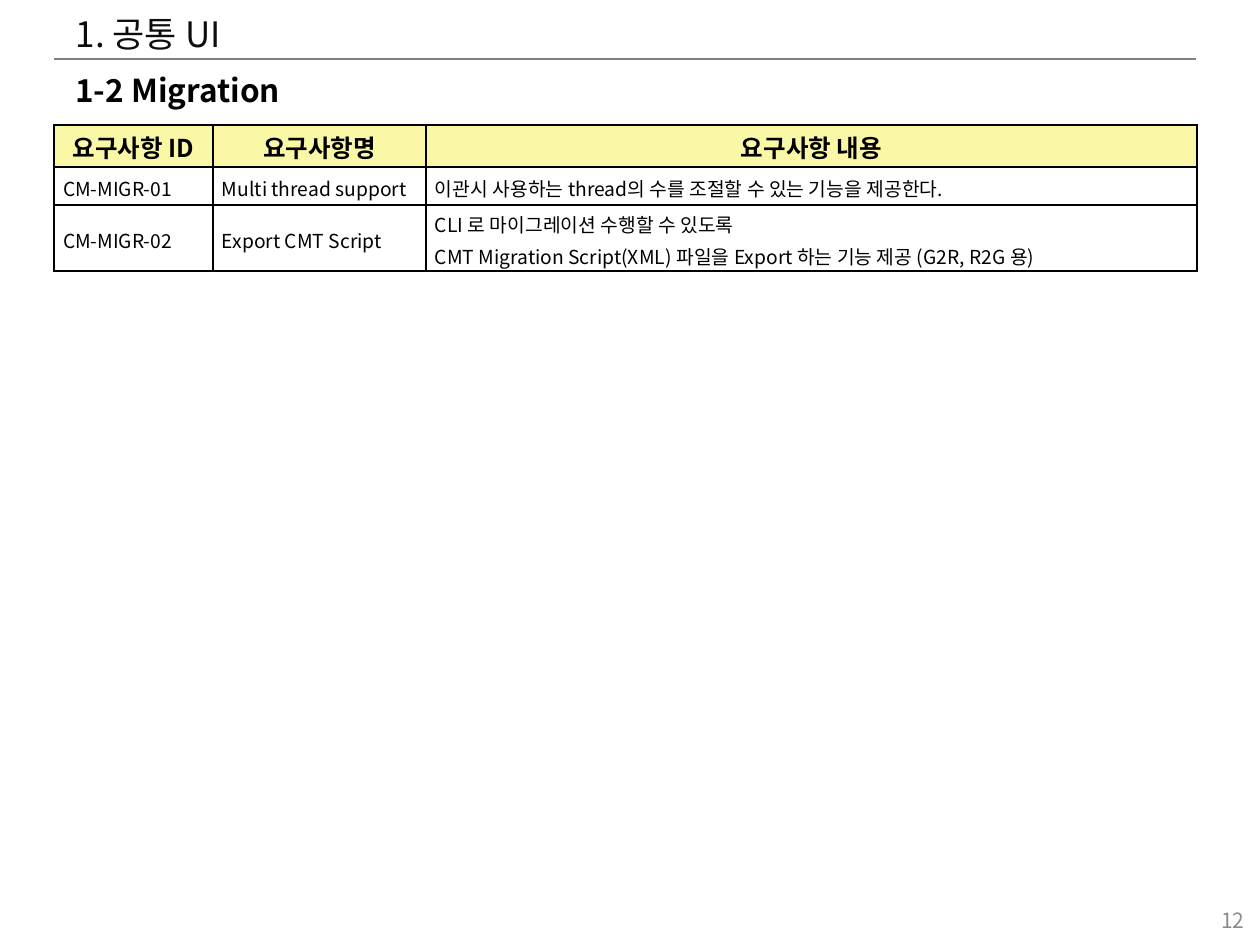
from lxml import etree
from pptx import Presentation
from pptx.dml.color import RGBColor
from pptx.enum.shapes import MSO_CONNECTOR
from pptx.enum.text import MSO_ANCHOR, MSO_AUTO_SIZE, PP_ALIGN
from pptx.oxml.ns import qn
from pptx.util import Pt

FONT = "Noto Sans CJK KR"
LEFT, CENTER, RIGHT = PP_ALIGN.LEFT, PP_ALIGN.CENTER, PP_ALIGN.RIGHT
TOP, MIDDLE = MSO_ANCHOR.TOP, MSO_ANCHOR.MIDDLE
NO_AUTOFIT = MSO_AUTO_SIZE.NONE
STRAIGHT = MSO_CONNECTOR.STRAIGHT
TITLE_ONLY = 5

COLUMNS = [159, 213, 771]
ROWS = [42, 38, 66]
REQUIREMENTS = [
    ["요구사항 ID", "요구사항명", "요구사항 내용"],
    ["CM-MIGR-01", "Multi thread support",
     "이관시 사용하는 thread의 수를 조절할 수 있는 기능을 제공한다."],
    ["CM-MIGR-02", "Export CMT Script",
     "CLI 로 마이그레이션 수행할 수 있도록\n"
     "CMT Migration Script(XML) 파일을 Export 하는 기능 제공 (G2R, R2G 용)"],
]


def px(value):
    return round(value * 914400 / 126)


def color(value):
    return RGBColor.from_string(value)


def write(frame, text, size, fill, bold=False, align=LEFT):
    paragraph = frame.paragraphs[0]
    paragraph.text = text
    paragraph.alignment = align
    font = paragraph.font
    font.name = FONT
    font.size = Pt(size)
    font.bold = bold
    font.color.rgb = color(fill)
    properties = paragraph._p.pPr.find(qn("a:defRPr"))
    latin = properties.find(qn("a:latin"))
    east_asian = etree.Element(qn("a:ea"), typeface=FONT)
    latin.addnext(east_asian)
    return paragraph


def place(shape, left, top, width, height):
    shape.left, shape.top = px(left), px(top)
    shape.width, shape.height = px(width), px(height)


def add_label(slide, box, text, size, fill, bold=False, align=LEFT, anchor=TOP):
    shape = slide.shapes.add_textbox(*map(px, box))
    frame = shape.text_frame
    frame.word_wrap = True
    frame.vertical_anchor = anchor
    write(frame, text, size, fill, bold, align)


def add_heading(slide, left, top, width):
    rule = slide.shapes.add_connector(
        STRAIGHT, px(left), px(top + 53), px(left + width), px(top + 53))
    rule.line.color.rgb = color("808080")
    rule.line.width = Pt(1.25)
    etree.SubElement(rule._element.spPr, qn("a:effectLst"))

    title = slide.shapes.title
    place(title, left + 9, top, 1134, 68)
    frame = title.text_frame
    frame.auto_size = NO_AUTOFIT
    frame.vertical_anchor = TOP
    write(frame, "1. 공통 UI", 20, "0D0D0D")
    add_label(slide, (left + 9, top + 59, 1134, 50),
              "1-2 Migration", 18, "000000", bold=True)


def set_borders(cell):
    properties = cell._tc.get_or_add_tcPr()
    for index, side in enumerate(("a:lnL", "a:lnR", "a:lnT", "a:lnB")):
        line = etree.Element(qn(side), w=str(Pt(1)))
        fill = etree.SubElement(line, qn("a:solidFill"))
        etree.SubElement(fill, qn("a:srgbClr"), val="000000")
        properties.insert(index, line)


def format_cell(cell, text, header):
    cell.fill.solid()
    cell.fill.fore_color.rgb = color("FAF8A6" if header else "FFFFFF")
    cell.vertical_anchor = MIDDLE
    cell.margin_left = cell.margin_right = px(1 if header else 9)
    cell.margin_top = px(1 if header else 0)
    cell.margin_bottom = 0
    if header:
        paragraph = write(cell.text_frame, text, 14, "000000", True, CENTER)
        paragraph.space_before = Pt(2.8)
    else:
        paragraph = write(cell.text_frame, text, 11, "000000")
        paragraph.line_spacing = 1.15
        paragraph.space_after = Pt(2)
    set_borders(cell)


def add_requirements(slide, left, top):
    table = slide.shapes.add_table(
        len(ROWS), len(COLUMNS), px(left), px(top),
        px(sum(COLUMNS)), px(sum(ROWS))).table
    for column, width in zip(table.columns, COLUMNS):
        column.width = px(width)
    for row, height in zip(table.rows, ROWS):
        row.height = px(height)
    for row_index, texts in enumerate(REQUIREMENTS):
        for column_index, text in enumerate(texts):
            format_cell(table.cell(row_index, column_index), text, row_index == 0)


def main():
    presentation = Presentation()
    presentation.slide_width, presentation.slide_height = px(1260), px(945)
    slide = presentation.slides.add_slide(presentation.slide_layouts[TITLE_ONLY])
    add_heading(slide, 54, 6, 1142)
    add_requirements(slide, 54, 125)
    add_label(slide, (964, 895, 293, 50), "12", 12, "8C8C8C",
              align=RIGHT, anchor=MIDDLE)
    presentation.save("out.pptx")


if __name__ == "__main__":
    main()
